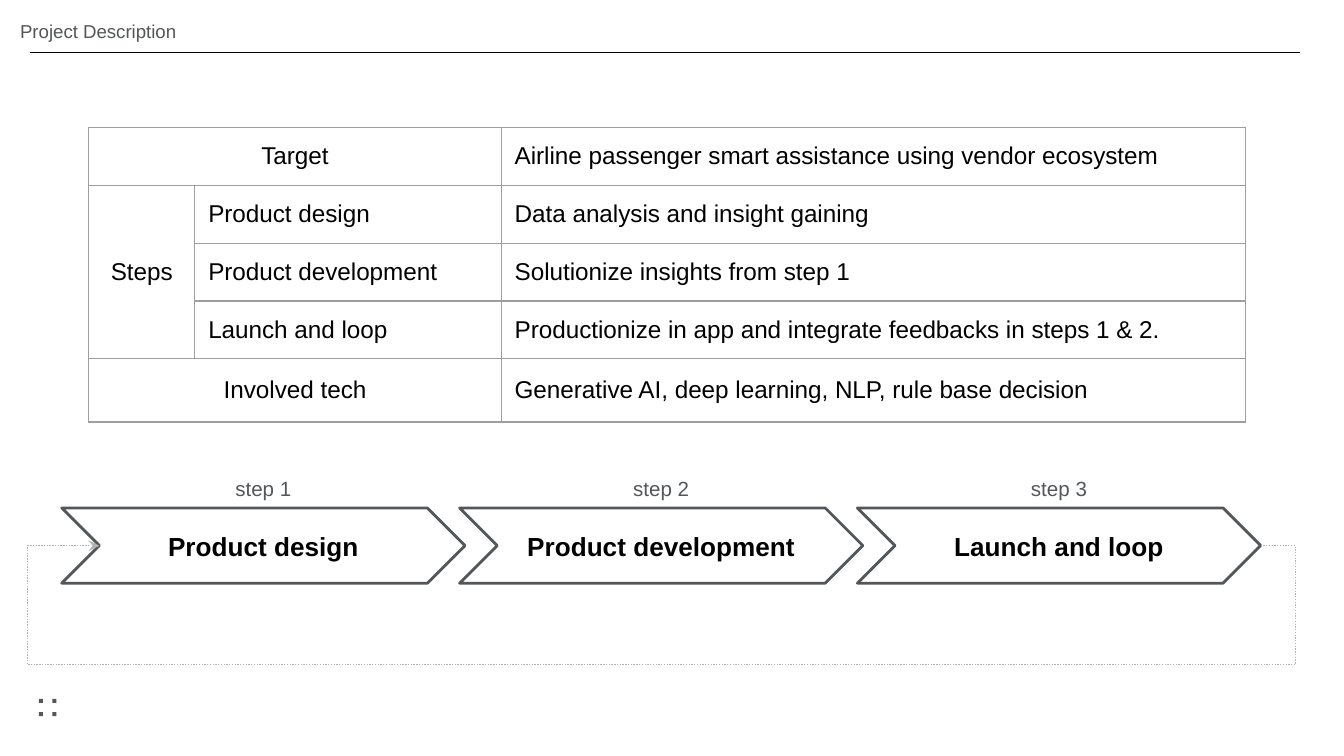
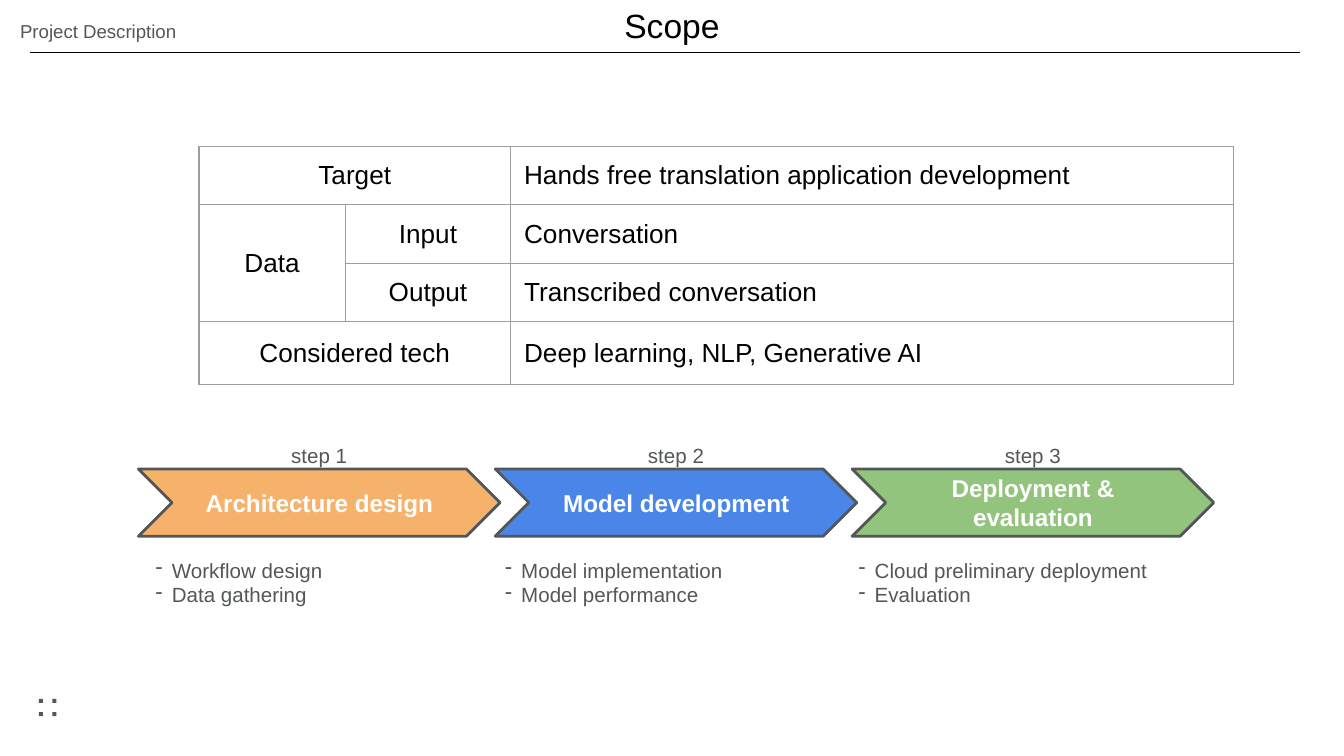
from lxml import etree
from pptx import Presentation
from pptx.dml.color import RGBColor
from pptx.enum.dml import MSO_LINE
from pptx.enum.shapes import MSO_CONNECTOR, MSO_SHAPE
from pptx.enum.text import MSO_ANCHOR, PP_ALIGN
from pptx.oxml.ns import qn
from pptx.util import Inches, Pt

LEFT, CENTER, JUSTIFY = PP_ALIGN.LEFT, PP_ALIGN.CENTER, PP_ALIGN.JUSTIFY
TOP, MIDDLE = MSO_ANCHOR.TOP, MSO_ANCHOR.MIDDLE
STRAIGHT, ELBOW = MSO_CONNECTOR.STRAIGHT, MSO_CONNECTOR.ELBOW
CHEVRON, RECTANGLE = MSO_SHAPE.CHEVRON, MSO_SHAPE.RECTANGLE
DOT = MSO_LINE.ROUND_DOT

FONT = "Arial"
COLORS = {
    "ink": "000000", "gray": "53575A", "loop": "B0B3B2", "grid": "9E9E9E",
    "white": "FFFFFF", "orange": "F6B26B", "blue": "4A86E8", "green": "93C47D",
}
HEADER = "Project Description"
ROW, LAST_ROW = 0.43, 0.47

SLIDES = [
    {
        "title": None,
        "table": {
            "at": (0.66, 0.95), "cols": (0.79, 2.28, 5.54), "size": 13,
            "aligns": (CENTER, LEFT, LEFT),
            "rows": [
                ("Target", None, "Airline passenger smart assistance using vendor ecosystem"),
                ("Steps", "Product design", "Data analysis and insight gaining"),
                (None, "Product development", "Solutionize insights from step 1"),
                (None, "Launch and loop",
                 "Productionize in app and integrate feedbacks in steps 1 & 2."),
                ("Involved tech", None, "Generative AI, deep learning, NLP, rule base decision"),
            ],
        },
        "flow": {
            "first": 0.46, "last": 6.38, "top": 3.78, "width": 3, "height": 0.56,
            "label_top": 3.5, "size": 14, "color": "ink",
            "steps": [("Product design", None), ("Product development", None),
                      ("Launch and loop", None)],
        },
        "loop": {"right": 9.64, "bottom": 4.81, "left": 0.2},
        "details": [],
    },
    {
        "title": "Scope",
        "table": {
            "at": (1.48, 1.09), "cols": (1.09, 1.23, 5.38), "size": 14,
            "aligns": (CENTER, CENTER, JUSTIFY),
            "rows": [
                ("Target", None, "Hands free translation application development"),
                ("Data", "Input", "Conversation"),
                (None, "Output", "Transcribed conversation"),
                ("Considered tech", None, "Deep learning, NLP, Generative AI"),
            ],
        },
        "flow": {
            "first": 1.03, "last": 6.34, "top": 3.49, "width": 2.69, "height": 0.5,
            "label_top": 3.25, "size": 13, "color": "white",
            "steps": [("Architecture design", "orange"), ("Model development", "blue"),
                      ("Deployment & evaluation", "green")],
        },
        "loop": None,
        "details": [
            (1.06, ["Workflow design", "Data gathering"]),
            (3.66, ["Model implementation", "Model performance"]),
            (6.29, ["Cloud preliminary deployment", "Evaluation"]),
        ],
    },
]


def rgb(name):
    return RGBColor.from_string(COLORS[name])


def sub(parent, tag, **attrs):
    return etree.SubElement(parent, qn(tag), attrs)


def add_dash(p):
    pPr = p._p.get_or_add_pPr()
    pPr.set("marL", str(Inches(0.12)))
    pPr.set("indent", str(Inches(-0.2)))
    sub(sub(pPr, "a:buClr"), "a:srgbClr", val=COLORS["gray"])
    sub(pPr, "a:buChar", char="-")


def write(tf, *lines, size=11, color="gray", bold=False, align=LEFT, dash=False):
    for i, line in enumerate(lines):
        p = tf.add_paragraph() if i else tf.paragraphs[0]
        if dash:
            add_dash(p)
        p.alignment = align
        r = p.add_run()
        r.text = line
        r.font.name, r.font.size, r.font.bold = FONT, Pt(size), bold
        r.font.color.rgb = rgb(color)


def set_frame(tf, inset=0.1, anchor=MIDDLE):
    tf.word_wrap = True
    tf.vertical_anchor = anchor
    tf.margin_left = tf.margin_right = tf.margin_top = tf.margin_bottom = Inches(inset)


def add_text(s, box, *lines, inset=0.1, anchor=MIDDLE, **fmt):
    tf = s.shapes.add_textbox(*map(Inches, box)).text_frame
    set_frame(tf, inset, anchor)
    write(tf, *lines, **fmt)


def add_shape(s, kind, box, fill=None, line=None):
    sp = s.shapes.add_shape(kind, *map(Inches, box))
    sp.shadow.inherit = False
    if fill:
        sp.fill.solid()
        sp.fill.fore_color.rgb = rgb(fill)
    else:
        sp.fill.background()
    if line:
        sp.line.color.rgb = rgb(line)
        sp.line.width = Pt(1.5)
    else:
        sp.line.fill.background()
    return sp


def add_line(s, kind, ends, color):
    cx = s.shapes.add_connector(kind, *map(Inches, ends))
    cx.line.color.rgb = rgb(color)
    cx.line.width = Pt(0.75)
    sub(cx._element.spPr, "a:effectLst")
    return cx


def add_frame(s, title):
    for x in (0.29, 0.39):
        for y in (5.2, 5.3):
            add_shape(s, RECTANGLE, (x, y, 0.03, 0.03), fill="gray")
    add_text(s, (0.15, 0.15, 2.07, 0.08), HEADER, inset=0, anchor=TOP, size=10)
    if title:
        add_text(s, (0, 0, 10, 0.37), title, size=18, color="ink", align=CENTER)
    add_line(s, STRAIGHT, (0.22, 0.39, 9.67, 0.39), "ink")


def style_cell(cell):
    set_frame(cell.text_frame)
    cell.vertical_anchor = MIDDLE
    cell.margin_left = cell.margin_right = Inches(0.1)
    cell.margin_top = cell.margin_bottom = Inches(0.1)
    tcPr = cell._tc.get_or_add_tcPr()
    for side in "LRTB":
        ln = sub(tcPr, f"a:ln{side}", w=str(Pt(0.75)))
        sub(sub(ln, "a:solidFill"), "a:srgbClr", val=COLORS["grid"])
    cell.fill.background()


def add_grid(s, at, cols, size, aligns, rows):
    heights = [ROW] * (len(rows) - 1) + [LAST_ROW]
    box = (*at, sum(cols), sum(heights))
    tbl = s.shapes.add_table(len(rows), len(cols), *map(Inches, box)).table
    tbl.first_row = tbl.horz_banding = False
    for col, width in zip(tbl.columns, cols):
        col.width = Inches(width)
    for row, height in zip(tbl.rows, heights):
        row.height = Inches(height)
    for i, texts in enumerate(rows):
        for j, text in enumerate(texts):
            cell = tbl.cell(i, j)
            style_cell(cell)
            if text:
                write(cell.text_frame, text, size=size, color="ink", align=aligns[j])
    last = len(rows) - 1
    for i in (0, last):
        tbl.cell(i, 0).merge(tbl.cell(i, 1))
    tbl.cell(1, 0).merge(tbl.cell(last - 1, 0))


def add_flow(s, first, last, top, width, height, label_top, size, color, steps):
    pitch = (last - first) / (len(steps) - 1)
    chevrons = []
    for i, (name, fill) in enumerate(steps):
        x = first + i * pitch
        add_text(s, (x, label_top, width, 0.27), f"step {i + 1}", align=CENTER)
        sp = add_shape(s, CHEVRON, (x, top, width, height), fill, "gray")
        set_frame(sp.text_frame)
        write(sp.text_frame, name, size=size, color=color, bold=True, align=CENTER)
        chevrons.append(sp)
    return chevrons


def add_loop(s, start, end, right, bottom, left):
    x1 = (start.left + start.width) / Inches(1)
    x2 = (end.left + end.height / 2) / Inches(1)
    y = (start.top + start.height / 2) / Inches(1)
    rise, run = 0.001, x1 - x2
    cx = add_line(s, ELBOW, (x1, y, x2, y + rise), "loop")
    cx.begin_connect(start, 3)
    cx.end_connect(end, 1)
    cx.end_x, cx.end_y = Inches(x2), Inches(y + rise)
    geom = cx._element.spPr.find(qn("a:prstGeom"))
    geom.set("prst", "bentConnector5")
    guides = geom.find(qn("a:avLst"))
    shares = ((x1 - right) / run, (bottom - y) / rise, (x1 - left) / run)
    for i, share in enumerate(shares, 1):
        sub(guides, "a:gd", name=f"adj{i}", fmla=f"val {round(share * 100000)}")
    cx.line.dash_style = DOT
    sub(cx.line._get_or_add_ln(), "a:tailEnd", type="stealth")


def main():
    """Build the two project description slides."""
    prs = Presentation()
    prs.slide_width = Inches(10)
    prs.slide_height = prs.slide_width * 9 // 16
    for content in SLIDES:
        s = prs.slides.add_slide(prs.slide_layouts[6])
        add_frame(s, content["title"])
        add_grid(s, **content["table"])
        chevrons = add_flow(s, **content["flow"])
        if content["loop"]:
            add_loop(s, chevrons[-1], chevrons[0], **content["loop"])
        for x, lines in content["details"]:
            add_text(s, (x, 4.05, 2.63, 0.99), *lines, anchor=TOP, dash=True)
    prs.save("out.pptx")


if __name__ == "__main__":
    main()
